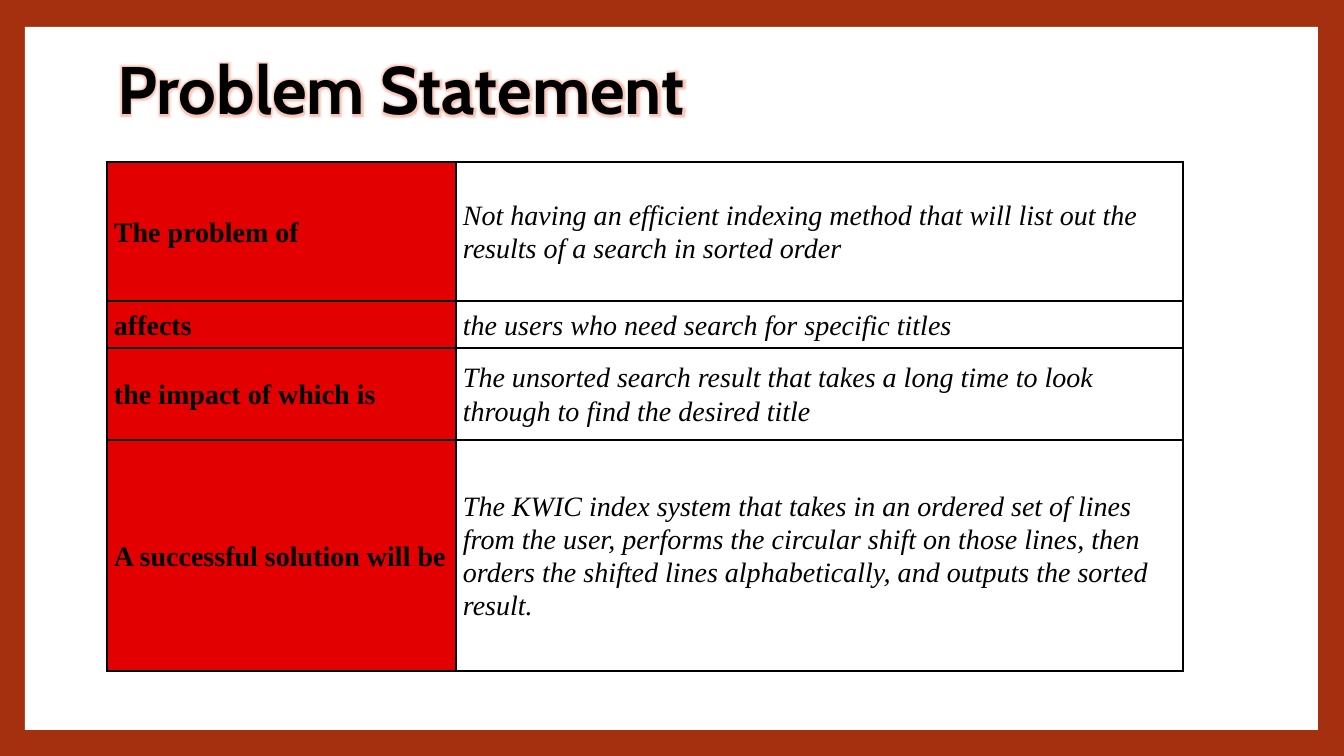
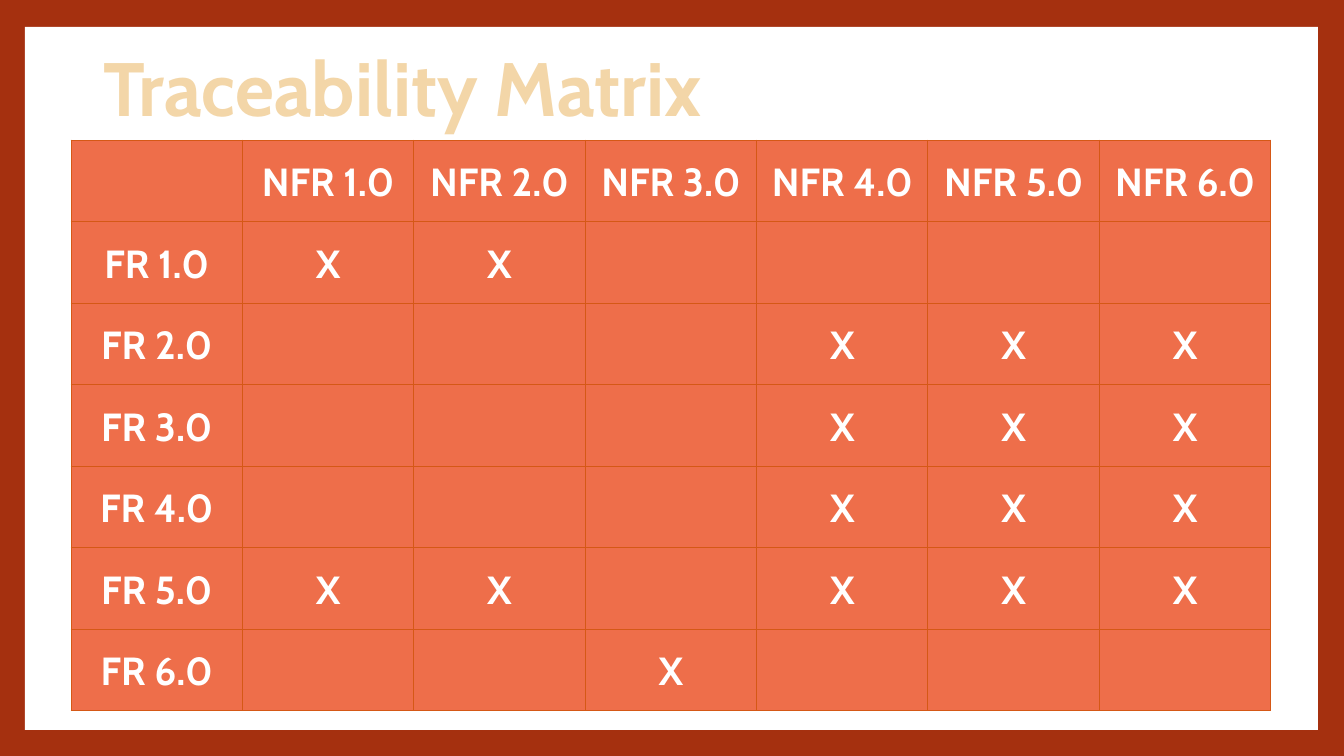
from lxml import etree
from pptx import Presentation
from pptx.dml.color import RGBColor
from pptx.enum.dml import MSO_PATTERN
from pptx.enum.shapes import MSO_SHAPE
from pptx.enum.text import MSO_ANCHOR, MSO_AUTO_SIZE, PP_ALIGN
from pptx.oxml import parse_xml
from pptx.util import Emu, Pt

RECTANGLE = MSO_SHAPE.RECTANGLE
STRIPES = MSO_PATTERN.NARROW_HORIZONTAL
MIDDLE = MSO_ANCHOR.MIDDLE
NO_AUTOFIT = MSO_AUTO_SIZE.NONE
LEFT, CENTER = PP_ALIGN.LEFT, PP_ALIGN.CENTER

EMU_PER_PIXEL = 914400 / 100.8
DRAWING = "http://schemas.openxmlformats.org/drawingml/2006/main"
TITLE_ONLY = 5
HEADING_FONT, BODY_FONT = "Cabin", "Times New Roman"
RUST, WHITE, BLACK = "A5300F", "FFFFFF", "000000"
RED, CORAL, GRID = "E20000", "EE6E4A", "D55816"
GOLD, SAND, BROWN = "E19825", "F3D6A8", "734D10"

PROBLEM = [
    ("The problem of",
     "Not having an efficient indexing method that will list out the "
     "results of a search in sorted order"),
    ("affects", "the users who need search for specific titles"),
    ("the impact of which is",
     "The unsorted search result that takes a long time to look through "
     "to find the desired title"),
    ("A successful solution will be",
     "The KWIC index system that takes in an ordered set of lines from the "
     "user, performs the circular shift on those lines, then orders the "
     "shifted lines alphabetically, and outputs the sorted result."),
]
# Non-functional requirements met by each functional requirement, in order
TRACES = [(1, 2), (4, 5, 6), (4, 5, 6), (4, 5, 6), (1, 2, 4, 5, 6), (3,)]


def px(pixels):
    """Turn pixels into EMU."""
    return Emu(round(pixels * EMU_PER_PIXEL))


def color(hex_string):
    """Turn a hex string into a colour."""
    return RGBColor.from_string(hex_string)


def drawing_xml(markup):
    """Parse one DrawingML element."""
    return parse_xml(markup.replace(" ", f' xmlns:a="{DRAWING}" ', 1))


def line_xml(tag, hex_string, points):
    """Make a solid line element."""
    return drawing_xml(
        f'<a:{tag} w="{Pt(points)}"><a:solidFill><a:srgbClr val="{hex_string}"/>'
        f"</a:solidFill></a:{tag}>")


def add_frame(deck, page):
    """Give the master a rust border around a white panel."""
    master = deck.slide_master
    master.background.fill.solid()
    master.background.fill.fore_color.rgb = color(RUST)
    panel = page.shapes.add_shape(RECTANGLE, px(25), px(27), px(1293), px(703))
    panel.shadow.inherit = False
    panel.fill.solid()
    panel.fill.fore_color.rgb = color(WHITE)
    panel.line.fill.background()
    panel.element.nvSpPr.cNvPr.set("id", "20")
    master.shapes.element.insert(2, panel.element)


def add_title(page, text, box, size):
    """Place and style the title; return its span of text."""
    title = page.shapes.title
    title.left, title.top, title.width, title.height = map(px, box)
    frame = title.text_frame
    frame.word_wrap = True
    frame.auto_size = NO_AUTOFIT
    frame.vertical_anchor = MIDDLE
    para = frame.paragraphs[0]
    para.alignment = LEFT
    para.line_spacing = 0.9
    span = para.add_run()
    span.text = text
    span.font.name = HEADING_FONT
    span.font.size = Pt(size)
    span.font.bold = True
    return span


def add_glow(span, hex_string, points):
    """Put a soft glow around solid text."""
    glow = drawing_xml(
        f'<a:effectLst ><a:glow rad="{Pt(points)}"><a:srgbClr val="{hex_string}">'
        '<a:alpha val="40000"/></a:srgbClr></a:glow></a:effectLst>')
    properties = span.font.fill and span._r.get_or_add_rPr()
    fill = properties.find(etree.QName(DRAWING, "solidFill"))
    fill.addnext(glow)


def add_grid(page, corner, widths, heights, border):
    """Add a plain table with the same border on every cell."""
    left, top = corner
    table = page.shapes.add_table(
        len(heights), len(widths), px(left), px(top),
        px(sum(widths)), px(sum(heights))).table
    table.first_row = table.horz_banding = False
    for column, width in zip(table.columns, widths):
        column.width = px(width)
    for row, height in zip(table.rows, heights):
        row.height = px(height)
    for cell in table.iter_cells():
        properties = cell._tc.get_or_add_tcPr()
        for index, tag in enumerate(("lnL", "lnR", "lnT", "lnB")):
            properties.insert(index, line_xml(tag, *border))
    return table


def fill_cell(cell, text, fill, font, size, ink, bold=True, align=LEFT, after=0):
    """Fill a cell and write its text, italic where it is not bold."""
    cell.fill.solid()
    cell.fill.fore_color.rgb = color(fill)
    cell.vertical_anchor = MIDDLE
    cell.margin_left = cell.margin_right = px(7)
    cell.margin_top = cell.margin_bottom = 0
    cell.text = text
    para = cell.text_frame.paragraphs[0]
    para.alignment = align
    para.line_spacing = 1.07
    para.space_after = Pt(after)
    para.font.name = font
    para.font.size = Pt(size)
    para.font.bold = bold
    para.font.italic = not bold
    para.font.color.rgb = color(ink)


def build_problem(page):
    """Build the problem statement slide."""
    span = add_title(page, "Problem Statement", (107, 39, 1089, 107), 48)
    span.font.color.rgb = color(BLACK)
    add_glow(span, CORAL, 5)
    table = add_grid(page, (107, 162), (349, 727), (139, 47, 92, 231), (BLACK, 1))
    for row, texts in enumerate(PROBLEM):
        for column, text in enumerate(texts):
            is_label = column == 0
            fill_cell(table.cell(row, column), text, RED if is_label else WHITE,
                      BODY_FONT, 20, BLACK, bold=is_label, after=8)


def build_matrix(page):
    """Build the traceability matrix slide."""
    span = add_title(page, "Traceability Matrix", (93, 45, 1089, 95), 54)
    pattern = span.font.fill
    pattern.patterned()
    pattern.pattern = STRIPES
    pattern.fore_color.rgb = color(GOLD)
    pattern.back_color.rgb = color(SAND)
    span._r.get_or_add_rPr().insert(0, line_xml("ln", BROWN, 1))

    count = len(TRACES) + 1
    rows = [[""] + [f"NFR {number}.0" for number in range(1, count)]]
    for number, met in enumerate(TRACES, 1):
        marks = ["X" if column in met else "" for column in range(1, count)]
        rows.append([f"FR {number}.0"] + marks)
    table = add_grid(page, (71, 140), [1200 / count] * count,
                     [571 / count] * count, (GRID, 0.79))
    for row, texts in enumerate(rows):
        for column, text in enumerate(texts):
            fill_cell(table.cell(row, column), text, CORAL, HEADING_FONT, 28,
                      WHITE, align=CENTER)


def main():
    """Build and save the deck."""
    deck = Presentation()
    deck.slide_width, deck.slide_height = px(1344), px(756)
    layout = deck.slide_layouts[TITLE_ONLY]
    pages = [deck.slides.add_slide(layout) for _ in range(2)]
    add_frame(deck, pages[0])
    build_problem(pages[0])
    build_matrix(pages[1])
    deck.save("out.pptx")


main()
